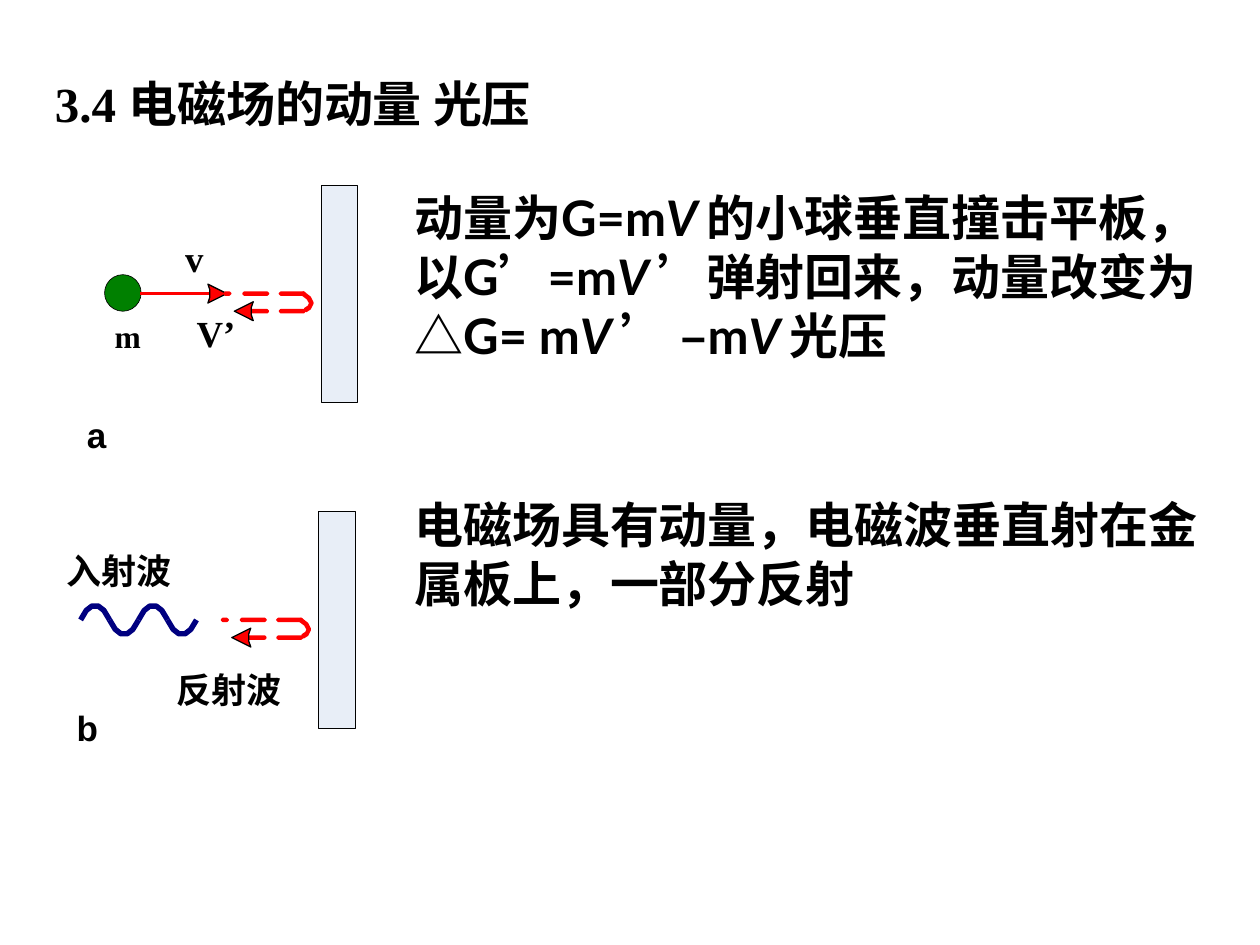
from dataclasses import dataclass
from typing import NamedTuple

from lxml.etree import SubElement
from pptx import Presentation
from pptx.dml.color import RGBColor
from pptx.enum.lang import MSO_LANGUAGE_ID
from pptx.enum.shapes import MSO_CONNECTOR, MSO_SHAPE
from pptx.enum.text import MSO_ANCHOR, MSO_AUTO_SIZE, PP_ALIGN
from pptx.oxml.ns import qn
from pptx.util import Inches, Pt


@dataclass(frozen=True)
class Theme:
    ink: RGBColor = RGBColor(0, 0, 0)
    plate: RGBColor = RGBColor(0xE8, 0xEE, 0xF7)
    ball: RGBColor = RGBColor(0, 0x80, 0)
    ray: RGBColor = RGBColor(0xFF, 0, 0)
    wave: RGBColor = RGBColor(0, 0, 0x80)
    heading: float = 28
    velocity: float = 21
    label: float = 20
    mass: float = 18
    serif: str = "Times New Roman"
    sans: str = "Arial"
    body: str = "Lato"


THEME = Theme()
Point = tuple[float, float]


class Run(NamedTuple):
    text: str
    font: str = THEME.body
    italic: bool = False


class Label(NamedTuple):
    text: str
    box: tuple[float, float, float, float]
    size: float = THEME.label
    font: str = THEME.sans
    inset: bool = True
    wrap: bool = False


V = Run("V ", italic=True)
PRIME = Run("’", THEME.sans)
PARAGRAPHS = [
    ((3.19, 1.39, 6.46, 1.55), [
        Run("动量为G=m"), V, Run("的小球垂直撞击平板，以G"), PRIME,
        Run("=m"), V, PRIME, Run("弹射回来，动量改变为△G= m"), V,
        Run("’ –", THEME.sans), Run("m"), V, Run("光压"),
    ]),
    ((3.19, 3.83, 6.46, 1.08), [
        Run("电磁场具有动量，电磁波垂直射在金属板上，一部分反射"),
    ]),
]
LABELS = [
    Label("m", (0.91, 2.52, 0.19, 0.3), THEME.mass, THEME.serif, False),
    Label("v", (1.47, 1.87, 0.15, 0.35), THEME.velocity, THEME.serif, False),
    Label("V’", (1.56, 2.47, 0.71, 0.35), THEME.velocity, THEME.serif, False, True),
    Label("a", (0.59, 3.23, 0.35, 0.43)),
    Label("入射波", (0.43, 4.31, 1.05, 0.43)),
    Label("反射波", (1.3, 5.26, 1.05, 0.43)),
    Label("b", (0.51, 5.56, 0.35, 0.43)),
]


def add_run(paragraph, text: str, size: float, font: str, italic: bool = False) -> None:
    run = paragraph.add_run()
    run.text = text
    run.font.color.rgb = THEME.ink
    style = {"size": Pt(size), "name": font, "bold": True, "italic": italic}
    if not text.isascii():
        style["language_id"] = MSO_LANGUAGE_ID.SIMPLIFIED_CHINESE
    for name, value in style.items():
        setattr(run.font, name, value)


def add_label(shapes, label: Label) -> None:
    frame = shapes.add_textbox(*map(Inches, label.box)).text_frame
    frame.word_wrap = label.wrap
    frame.auto_size = MSO_AUTO_SIZE.SHAPE_TO_FIT_TEXT
    if not label.inset:
        for side in ("left", "top", "right", "bottom"):
            setattr(frame, f"margin_{side}", 0)
    add_run(frame.paragraphs[0], label.text, label.size, label.font)


def add_paragraph(shapes, box: tuple, runs: list[Run]) -> None:
    frame = shapes.add_textbox(*map(Inches, box)).text_frame
    frame.word_wrap = True
    frame.vertical_anchor = MSO_ANCHOR.BOTTOM
    for run in runs:
        add_run(frame.paragraphs[0], run.text, THEME.heading, run.font, run.italic)


def paint(shape, fill: RGBColor | None, line: RGBColor, width: float) -> None:
    shape.shadow.inherit = False
    if fill is None:
        shape.fill.background()
    else:
        shape.fill.solid()
        shape.fill.fore_color.rgb = fill
    shape.line.color.rgb = line
    shape.line.width = Pt(width)


def add_outline(shapes, contours: list[list[Point]], fill: RGBColor | None,
                line: RGBColor, width: float) -> None:
    """Draw one freeform from contours in inches; filled ones are closed."""
    scaled = [[(Inches(x), Inches(y)) for x, y in contour] for contour in contours]
    builder = shapes.build_freeform(*scaled[0][0])
    for index, (start, *rest) in enumerate(scaled):
        if index:
            builder.move_to(*start)
        builder.add_line_segments(rest, close=fill is not None)
    paint(builder.convert_to_shape(), fill, line, width)


def add_preset(shapes, kind: MSO_SHAPE, box: tuple, fill: RGBColor) -> None:
    paint(shapes.add_shape(kind, *map(Inches, box)), fill, THEME.ink, 0.38)


def add_arrowhead(shapes, tip: Point, direction: int) -> None:
    x, y = tip
    back = x - direction * 0.15
    notch = back + direction * 0.015
    points = [tip, (back, y - 0.075), (notch, y - 0.03), (notch, y + 0.03), (back, y + 0.075)]
    add_outline(shapes, [points], THEME.ray, THEME.ink, 0)


def add_dashes(shapes, y: float, spans: list[Point]) -> None:
    contours = [
        [(left, y), (left + 0.01, y - 0.01), (right - 0.01, y - 0.01),
         (right, y), (right - 0.01, y + 0.01), (left + 0.01, y + 0.01)]
        for left, right in spans
    ]
    add_outline(shapes, contours, THEME.ray, THEME.ray, 1.13)


def add_reflection(shapes, right: float, y: float) -> None:
    """Draw the plate and the dashed ray turning back in front of it."""
    add_preset(shapes, MSO_SHAPE.RECTANGLE, (right + 0.07, y - 0.86, 0.29, 1.72), THEME.plate)
    long_dashes = [(right - 0.26, right - 0.06), (right - 0.55, right - 0.35)]
    add_dashes(shapes, y, long_dashes + [(right - 0.7, right - 0.65)])
    back_y = y + 0.14
    add_dashes(shapes, back_y, [long_dashes[0], (right - 0.52, right - 0.35)])
    add_arrowhead(shapes, (right - 0.62, back_y), -1)
    turn = [(-0.07, -0.01), (-0.02, 0.03), (0, 0.07), (0, 0.08), (-0.02, 0.12), (-0.05, 0.14),
            (-0.06, 0.13), (-0.06, 0.12), (-0.03, 0.1), (-0.02, 0.075), (-0.04, 0.04),
            (-0.08, 0.01), (-0.09, 0)]
    add_outline(shapes, [[(right + dx, y + dy) for dx, dy in turn]], THEME.ray, THEME.ray, 1.13)


def add_wave(shapes, left: float, y: float, half_waves: int) -> None:
    half = 0.23
    arc = [(0, 0), (0.045, 0.075), (0.09, 0.11), (0.14, 0.11), (0.185, 0.075), (half, 0)]
    for index in range(half_waves):
        sign = 1 if index % 2 else -1
        points = [(left + index * half + dx, y + sign * dy) for dx, dy in arc]
        add_outline(shapes, [points], None, THEME.wave, 3.13)


def add_path_of_ball(shapes, start: Point, end: Point) -> None:
    ray = shapes.add_connector(MSO_CONNECTOR.STRAIGHT, *map(Inches, start + end))
    ray.line.color.rgb = THEME.ray
    ray.line.width = Pt(1.75)
    SubElement(ray._element.spPr, qn("a:effectLst"))


def set_title(title, text: str) -> None:
    box = {"left": 0, "top": 0.44, "width": 4.65, "height": 0.76}
    for name, value in box.items():
        setattr(title, name, Inches(value))
    title.text_frame.vertical_anchor = MSO_ANCHOR.MIDDLE
    paragraph = title.text_frame.paragraphs[0]
    paragraph.alignment = PP_ALIGN.CENTER
    add_run(paragraph, text, THEME.heading, THEME.serif)


def main() -> None:
    deck = Presentation()
    deck.slide_width, deck.slide_height = Inches(10), Inches(7.5)
    slide = deck.slides.add_slide(deck.slide_layouts[5])
    shapes = slide.shapes
    set_title(shapes.title, "3.4 电磁场的动量 光压")
    for box, runs in PARAGRAPHS:
        add_paragraph(shapes, box, runs)

    add_preset(shapes, MSO_SHAPE.OVAL, (0.83, 2.18, 0.29, 0.29), THEME.ball)
    add_path_of_ball(shapes, (1.11, 2.33), (1.69, 2.33))
    add_arrowhead(shapes, (1.8, 2.33), 1)
    add_reflection(shapes, 2.48, 2.33)
    add_reflection(shapes, 2.46, 4.92)
    add_wave(shapes, 0.64, 4.92, 4)
    for label in LABELS:
        add_label(shapes, label)
    deck.save("out.pptx")


if __name__ == "__main__":
    main()
